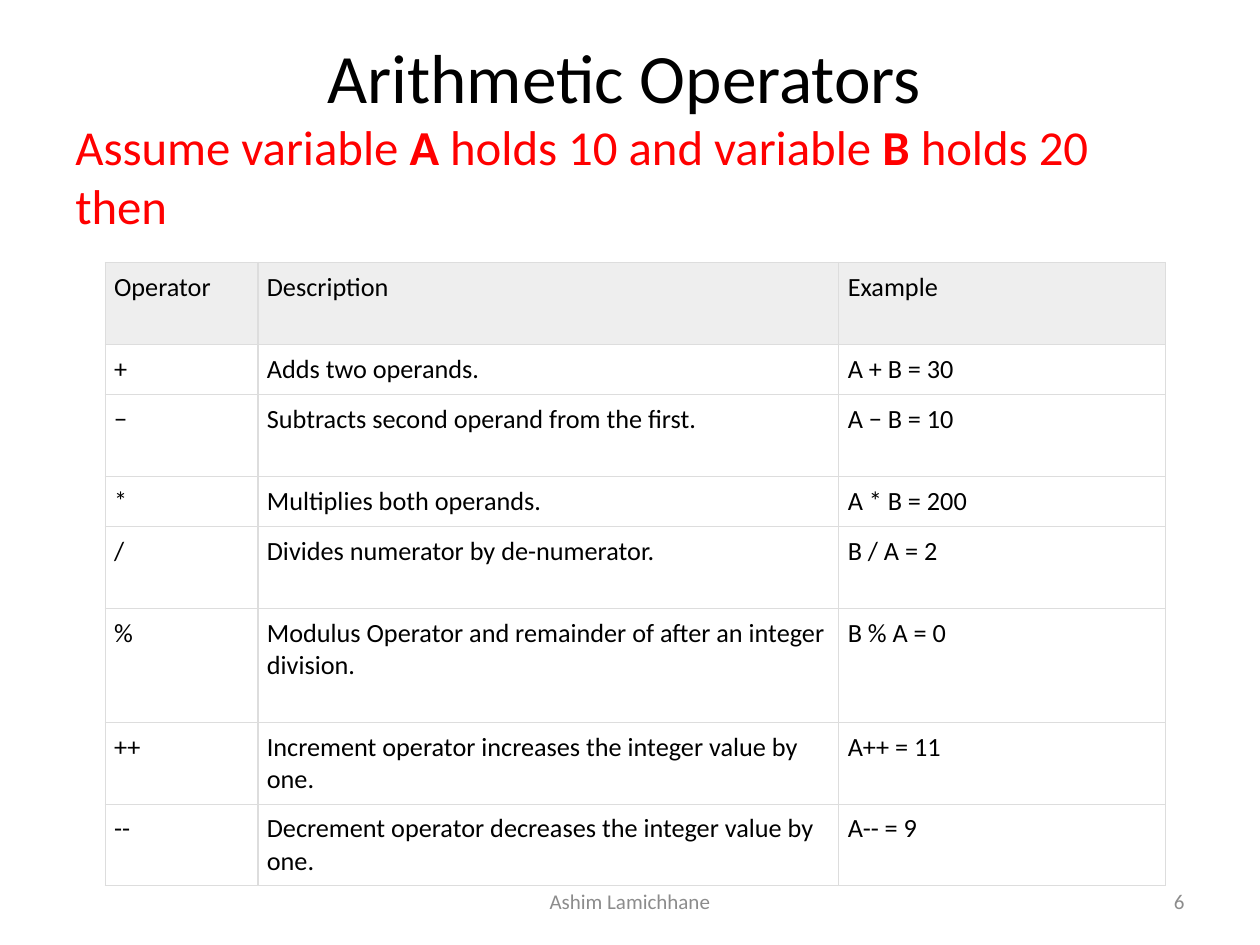
from lxml.etree import SubElement
from pptx import Presentation
from pptx.dml.color import RGBColor
from pptx.enum.text import MSO_ANCHOR, PP_ALIGN
from pptx.oxml.ns import qn
from pptx.util import Cm, Pt

BLACK = RGBColor(0x00, 0x00, 0x00)
RED = RGBColor(0xFF, 0x00, 0x00)
GREY = RGBColor(0x8C, 0x8C, 0x8C)
WHITE = RGBColor(0xFF, 0xFF, 0xFF)
HEADER_GREY = RGBColor(0xEE, 0xEE, 0xEE)
BORDER_GREY = RGBColor(0xDD, 0xDD, 0xDD)


def add_text(paragraph, text, size, color, bold=False):
    run = paragraph.add_run()
    run.text = text
    font_format = {"name": "Calibri", "size": Pt(size), "bold": bold}
    for attribute, value in font_format.items():
        setattr(run.font, attribute, value)
    run.font.color.rgb = color


def add_frame(left, top, width, height):
    frame = slide.shapes.add_textbox(Cm(left), Cm(top), Cm(width), Cm(height)).text_frame
    frame.word_wrap = True
    frame.vertical_anchor = MSO_ANCHOR.MIDDLE
    return frame


presentation = Presentation()
presentation.slide_width = Cm(25.4)
presentation.slide_height = Cm(19.05)
slide = presentation.slides.add_slide(presentation.slide_layouts[6])

# Heading, indented, with the assumption below it
heading = add_frame(1.27, 0.76, 22.86, 3.89)
title = heading.paragraphs[0]
title._p.get_or_add_pPr().set("marL", str(Cm(5.08)))
add_text(title, "Arithmetic Operators", 39.6, BLACK)
assumption = heading.add_paragraph()
for text, bold in [
    ("Assume variable\u00a0", False),
    ("A", True),
    ("\u00a0holds 10 and variable\u00a0", False),
    ("B", True),
    ("\u00a0holds 20 then", False),
]:
    add_text(assumption, text, 27.9, RED, bold)

# Operator table
operators = [
    ("Operator", "Description", "Example"),
    ("+", "Adds two operands.", "A + B = 30"),
    ("\u2212", "Subtracts second operand from the first.", "A \u2212 B = 10"),
    ("*", "Multiplies both operands.", "A * B = 200"),
    ("/", "Divides numerator by de-numerator.", "B / A = 2"),
    ("%", "Modulus Operator and remainder of after an integer division.", "B % A = 0"),
    ("++", "Increment operator increases the integer value by one.", "A++ = 11"),
    ("--", "Decrement operator decreases the integer value by one.", "A-- = 9"),
]
column_widths = [3.08, 11.71, 6.59]
row_heights = [1.65, 1.01, 1.65, 1.01, 1.65, 2.3, 1.65, 1.65]
table = slide.shapes.add_table(
    len(operators), len(column_widths),
    Cm(2.12), Cm(5.29), Cm(sum(column_widths)), Cm(sum(row_heights)),
).table
table.first_row = False
table.horz_banding = False
for column, width in zip(table.columns, column_widths):
    column.width = Cm(width)
for row, height in zip(table.rows, row_heights):
    row.height = Cm(height)

cell_margins = dict.fromkeys(
    ("margin_left", "margin_right", "margin_top", "margin_bottom"), Cm(0.18))
for row_index, entries in enumerate(operators):
    for column_index, entry in enumerate(entries):
        cell = table.cell(row_index, column_index)
        for attribute, value in cell_margins.items():
            setattr(cell, attribute, value)
        add_text(cell.text_frame.paragraphs[0], entry, 15, BLACK)
        # Borders precede the fill in the cell properties
        properties = cell._tc.get_or_add_tcPr()
        for side in ("a:lnL", "a:lnR", "a:lnT", "a:lnB"):
            border = SubElement(properties, qn(side), w=str(Pt(0.75)))
            border_fill = SubElement(border, qn("a:solidFill"))
            SubElement(border_fill, qn("a:srgbClr"), val=str(BORDER_GREY))
        cell.fill.solid()
        cell.fill.fore_color.rgb = HEADER_GREY if row_index == 0 else WHITE

# Footer: author and page number
for text, left, width, alignment in [
    ("Ashim Lamichhane", 8.68, 8.04, PP_ALIGN.CENTER),
    ("6", 18.2, 5.93, PP_ALIGN.RIGHT),
]:
    footer = add_frame(left, 17.66, width, 1.01).paragraphs[0]
    footer.alignment = alignment
    add_text(footer, text, 12, GREY)

presentation.save("out.pptx")
